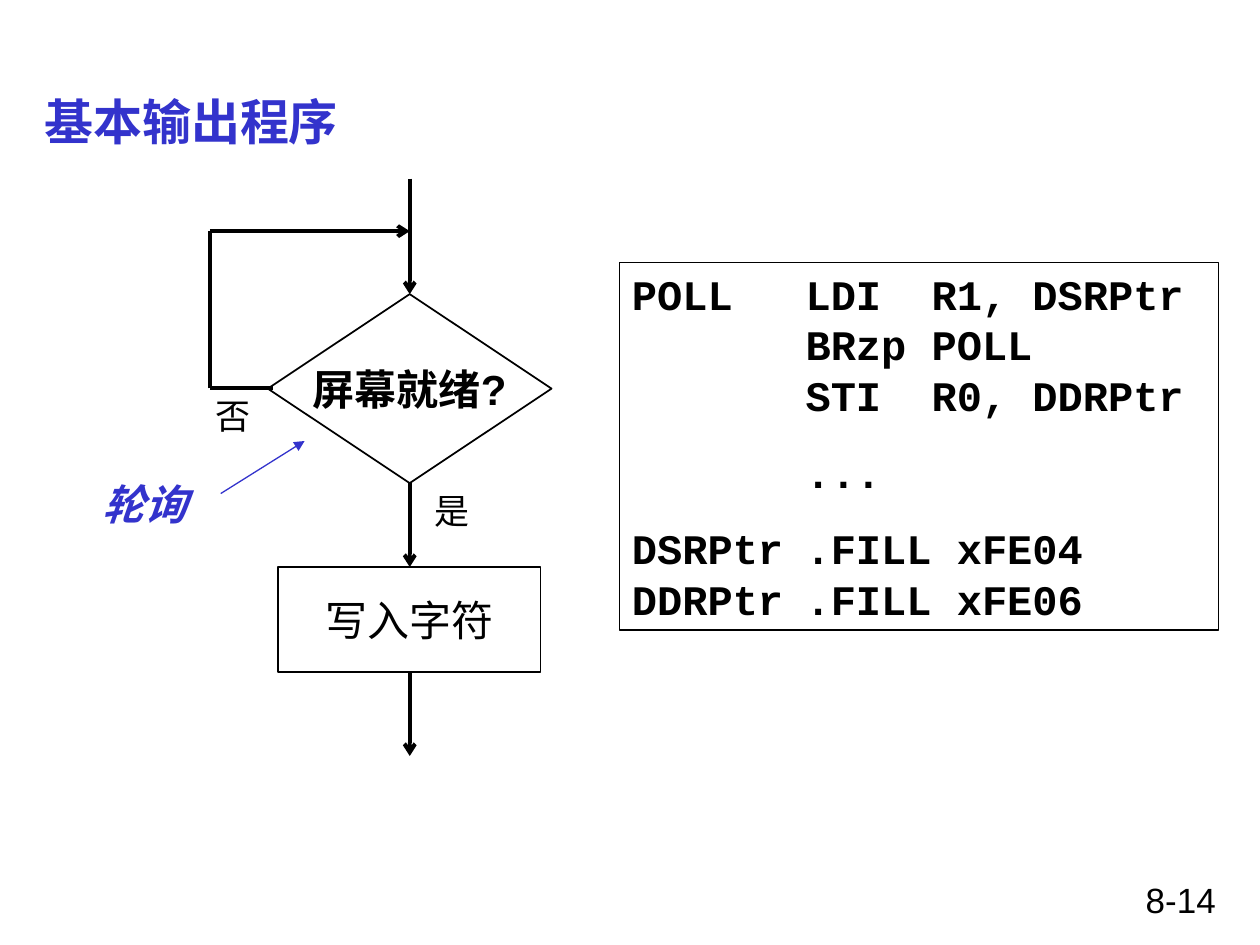
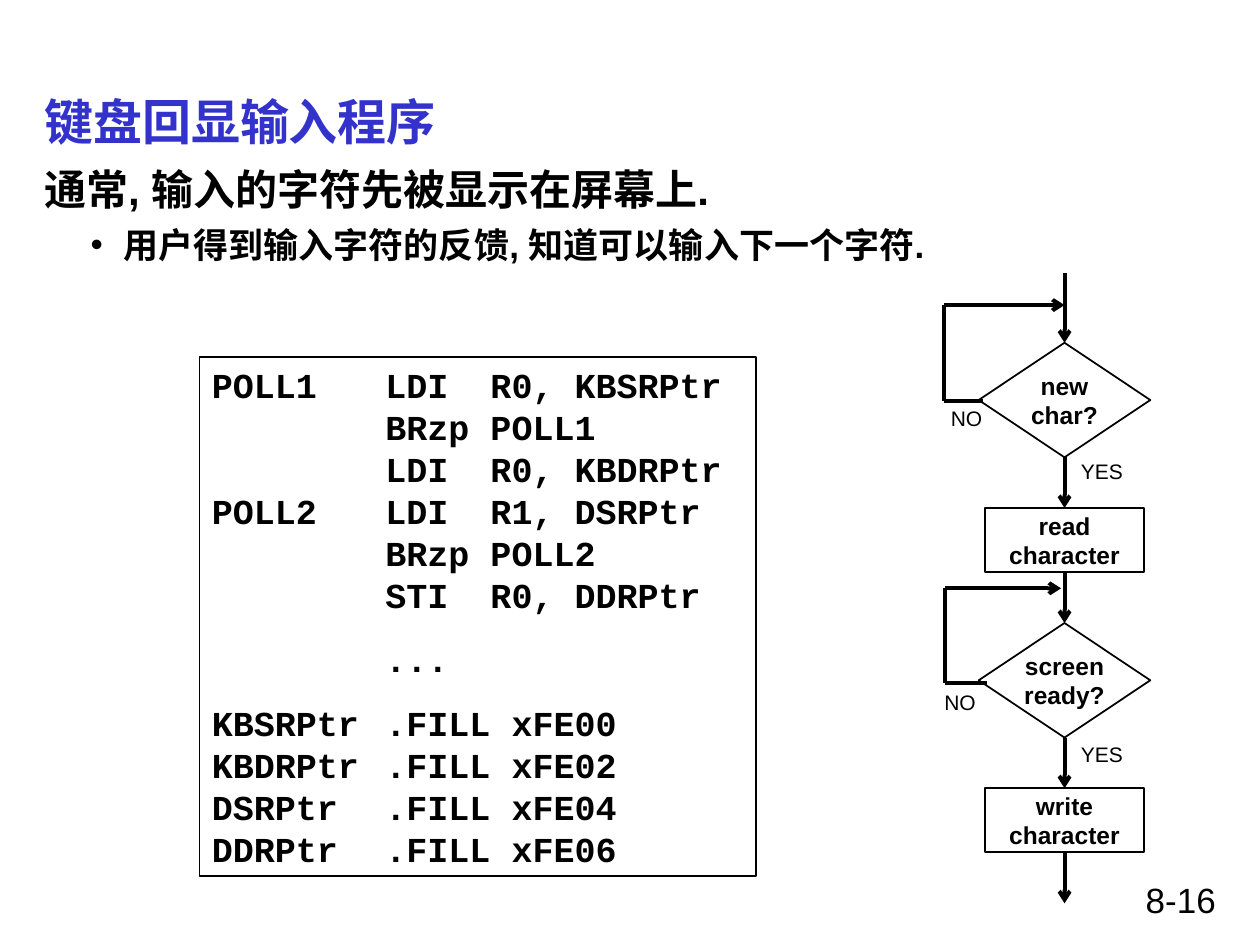
from dataclasses import dataclass

from lxml.etree import SubElement
from pptx import Presentation
from pptx.dml.color import RGBColor
from pptx.enum.shapes import MSO_CONNECTOR as Connector, MSO_SHAPE as Preset
from pptx.enum.text import MSO_ANCHOR as Anchor, MSO_AUTO_SIZE as AutoSize, PP_ALIGN as Align
from pptx.oxml.ns import qn
from pptx.slide import Slide
from pptx.text.text import TextFrame
from pptx.util import Cm, Pt

BLACK, BLUE, WHITE = "000000", "3333CC", "FFFFFF"
LINE_PITCH = 1.2  # line height as a multiple of the text size
CODE_TAB = 3.5


@dataclass(frozen=True)
class Box:
    left: float
    top: float
    width: float
    height: float

    @property
    def bottom(self) -> float:
        return self.top + self.height

    def lengths(self) -> tuple[Cm, Cm, Cm, Cm]:
        return Cm(self.left), Cm(self.top), Cm(self.width), Cm(self.height)


@dataclass(frozen=True)
class Style:
    size: float
    bold: bool = False
    italic: bool = False
    font: str = "Arial"
    color: str = BLACK
    align: Align = Align.CENTER


@dataclass(frozen=True)
class Label:
    paragraphs: tuple[str, ...]
    box: Box
    style: Style


@dataclass(frozen=True)
class Loop:
    """Way back from the decision to the arrow that enters it."""
    start_x: float
    left: float
    start_y: float
    top: float
    end_x: float


@dataclass(frozen=True)
class Stage:
    """A polled decision followed by an action."""
    axis: float
    entry: float
    question: Label
    action: Label
    loop: Loop
    yes: Label
    no: Label


TITLE = Style(28, bold=True, color=BLUE, align=Align.LEFT)
TITLE_BOX = Box(0.64, 1.7, 24.13, 1.47)
NUMBER = Style(20, align=Align.RIGHT)
NUMBER_BOX = Box(18.21, 17.58, 6.55, 1.07)


def rgb(color: str) -> RGBColor:
    return RGBColor.from_string(color)


def write(frame: TextFrame, paragraphs: tuple[str, ...], style: Style, gap: float = 0) -> None:
    for index, text in enumerate(paragraphs):
        paragraph = frame.paragraphs[0] if index == 0 else frame.add_paragraph()
        paragraph.text = text
        paragraph.alignment = style.align
        paragraph.line_spacing = Pt(LINE_PITCH * style.size)
        if index:
            paragraph.space_before = Pt(gap)
        for run in paragraph.runs:
            font = run.font
            font.name, font.size = style.font, Pt(style.size)
            font.bold, font.italic = style.bold, style.italic
            font.color.rgb = rgb(style.color)


def add_label(slide: Slide, label: Label, wrap: bool = False) -> TextFrame:
    frame = slide.shapes.add_textbox(*label.box.lengths()).text_frame
    frame.word_wrap = wrap
    write(frame, label.paragraphs, label.style)
    return frame


def add_node(slide: Slide, preset: Preset, label: Label, weight: float = 1,
             gap: float = 0) -> TextFrame:
    node = slide.shapes.add_shape(preset, *label.box.lengths())
    node.shadow.inherit = False
    node.fill.background()
    node.line.color.rgb = rgb(BLACK)
    node.line.width = Pt(weight)
    frame = node.text_frame
    frame.word_wrap = False
    frame.vertical_anchor = Anchor.MIDDLE
    write(frame, label.paragraphs, label.style, gap)
    return frame


def add_line(slide: Slide, start: tuple[float, float], end: tuple[float, float],
             head: str = "", color: str = BLACK, weight: float = 2.25) -> None:
    line = slide.shapes.add_connector(
        Connector.STRAIGHT, Cm(start[0]), Cm(start[1]), Cm(end[0]), Cm(end[1]))
    line.line.color.rgb = rgb(color)
    line.line.width = Pt(weight)
    properties = line._element.spPr
    if head:
        SubElement(properties.find(qn("a:ln")), qn("a:tailEnd"), type=head)
    SubElement(properties, qn("a:effectLst"))


def add_code(slide: Slide, box: Box, size: float, gap: float, blocks: tuple[str, ...]) -> None:
    style = Style(size, bold=True, font="Courier New", align=Align.LEFT)
    frame = add_node(slide, Preset.RECTANGLE, Label(blocks, box, style), 0.75, gap)
    frame.word_wrap = True
    frame.vertical_anchor = Anchor.TOP
    for paragraph in frame.paragraphs:
        tabs = SubElement(paragraph._p.get_or_add_pPr(), qn("a:tabLst"))
        SubElement(tabs, qn("a:tab"), pos=str(Cm(CODE_TAB)), algn="l")


def add_stage(slide: Slide, stage: Stage) -> None:
    question, action, loop, x = stage.question, stage.action, stage.loop, stage.axis
    add_node(slide, Preset.DIAMOND, question)
    add_node(slide, Preset.RECTANGLE, action)
    add_line(slide, (x, stage.entry), (x, question.box.top), "arrow")
    add_line(slide, (x, question.box.bottom), (x, action.box.top), "arrow")
    corners = [(loop.start_x, loop.start_y), (loop.left, loop.start_y),
               (loop.left, loop.top), (loop.end_x, loop.top)]
    for start, end, head in zip(corners, corners[1:], ("", "", "arrow")):
        add_line(slide, start, end, head)
    add_label(slide, stage.yes)
    add_label(slide, stage.no, wrap=True)


def add_titled_slide(deck: Presentation, title: str, number: str) -> Slide:
    slide = deck.slides.add_slide(deck.slide_layouts[5])
    slide.background.fill.solid()
    slide.background.fill.fore_color.rgb = rgb(WHITE)
    heading = slide.shapes.title
    heading.left, heading.top, heading.width, heading.height = TITLE_BOX.lengths()
    frame = heading.text_frame
    frame.auto_size = AutoSize.NONE
    frame.vertical_anchor = Anchor.MIDDLE
    write(frame, (title,), TITLE)
    add_label(slide, Label((number,), NUMBER_BOX, NUMBER), wrap=True)
    return slide


def build_output_slide(deck: Presentation) -> None:
    slide = add_titled_slide(deck, "基本输出程序", "8-14")
    axis, answer = 8.26, Style(20)

    # Flowchart
    stage = Stage(
        axis, 3.6,
        Label(("屏幕就绪?",), Box(5.4, 5.93, 5.72, 3.81), Style(24, bold=True)),
        Label(("写入字符",), Box(5.61, 11.43, 5.29, 2.12), Style(24, font="Cabin")),
        Loop(5.5, 4.23, 7.83, 4.66, axis),
        Label(("是",), Box(8.51, 9.75, 1.22, 1.12), answer),
        Label(("否",), Box(3.91, 7.83, 1.57, 1.12), answer))
    add_stage(slide, stage)
    add_line(slide, (axis, stage.action.box.bottom), (axis, 15.24), "arrow")

    # Note on the loop, wide enough for one line
    add_label(slide, Label(("轮询",), Box(1.62, 9.53, 2.6, 1.27),
                           Style(24, bold=True, italic=True, color=BLUE)))
    add_line(slide, (4.45, 9.95), (6.14, 8.89), "triangle", BLUE, 0.75)

    # Program
    add_code(slide, Box(12.49, 5.29, 12.07, 7.41), 24, 15, (
        "POLL\tLDI  R1, DSRPtr\n\tBRzp POLL\n\tSTI  R0, DDRPtr",
        "\t...",
        "DSRPtr\t.FILL xFE04\nDDRPtr\t.FILL xFE06"))


def add_summary(slide: Slide) -> None:
    frame = add_label(slide, Label(("通常, 输入的字符先被显示在屏幕上.",),
                                   Box(0.64, 3.18, 24.13, 3.07),
                                   Style(24, bold=True, align=Align.LEFT)), wrap=True)
    feedback = frame.add_paragraph()
    feedback.text = "用户得到输入字符的反馈, 知道可以输入下一个字符."
    feedback.level = 1
    feedback.space_before = Pt(5)
    feedback.line_spacing = Pt(LINE_PITCH * 20)
    properties = feedback._p.get_or_add_pPr()
    properties.set("marL", str(Cm(1.6)))
    properties.set("indent", str(Cm(-0.66)))
    SubElement(properties, qn("a:buFont"), typeface="Arial")
    SubElement(properties, qn("a:buChar"), char="•")
    font = feedback.runs[0].font
    font.name, font.size, font.bold = "Arial", Pt(20), True
    font.color.rgb = rgb(BLACK)


def build_echo_slide(deck: Presentation) -> None:
    slide = add_titled_slide(deck, "键盘回显输入程序", "8-16")
    add_summary(slide)

    # Two stages, one below the other
    axis, pitch = 21.46, 5.65
    step, answer = Style(14, bold=True), Style(12)
    entry = 5.51
    stages = (
        (("new", "char?"), "read\ncharacter",
         Loop(19.81, 19.03, 8.08, 6.15, axis), 9.12, Box(18.85, 8.05, 1.27, 0.76)),
        (("screen", "ready?"), "write\ncharacter",
         Loop(19.89, 19.05, 13.77, 11.86, 21.39), 14.83, Box(18.62, 13.77, 1.47, 0.76)))
    for index, (question, action, loop, yes_top, no_box) in enumerate(stages):
        drop = index * pitch
        stage = Stage(
            axis, entry,
            Label(question, Box(19.73, 6.91 + drop, 3.46, 2.31), step),
            Label((action,), Box(19.86, 10.24 + drop, 3.2, 1.29), step),
            loop,
            Label(("YES",), Box(21.54, yes_top, 1.35, 0.76), answer),
            Label(("NO",), no_box, answer))
        add_stage(slide, stage)
        entry = stage.action.box.bottom
    add_line(slide, (axis, entry), (axis, 18.21), "arrow")

    # Program
    add_code(slide, Box(4.02, 7.2, 11.22, 10.46), 20, 12.5, (
        "POLL1\tLDI  R0, KBSRPtr\n\tBRzp POLL1\n\tLDI  R0, KBDRPtr\n"
        "POLL2\tLDI  R1, DSRPtr\n\tBRzp POLL2\n\tSTI  R0, DDRPtr",
        "\t...",
        "KBSRPtr\t.FILL xFE00\nKBDRPtr\t.FILL xFE02\n"
        "DSRPtr\t.FILL xFE04\nDDRPtr\t.FILL xFE06"))


def main() -> None:
    deck = Presentation()
    deck.slide_width, deck.slide_height = Cm(25.4), Cm(19.05)
    build_output_slide(deck)
    build_echo_slide(deck)
    deck.save("out.pptx")


if __name__ == "__main__":
    main()
